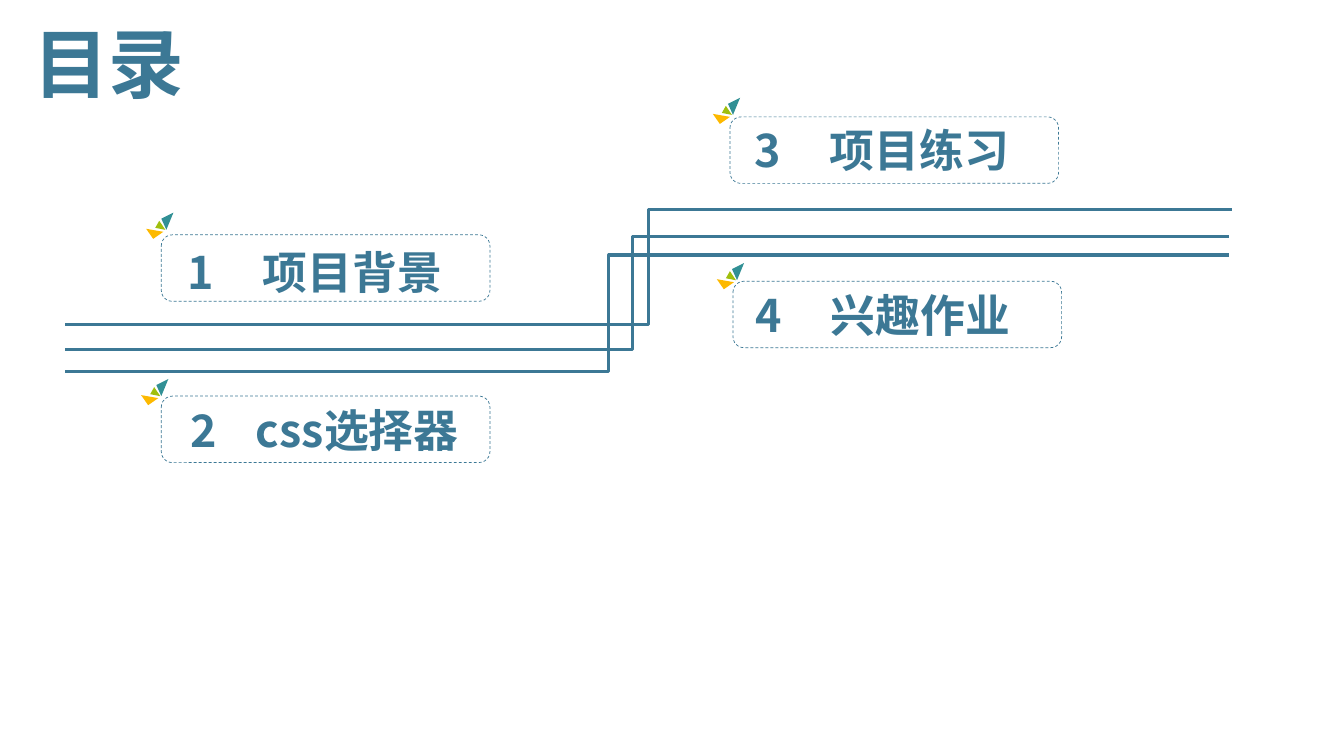
from pptx import Presentation
from pptx.util import Inches, Pt
from pptx.dml.color import RGBColor
from pptx.enum.dml import MSO_LINE
from pptx.enum.shapes import MSO_CONNECTOR, MSO_SHAPE
from pptx.enum.text import PP_ALIGN
from pptx.oxml.ns import qn
from lxml import etree

ELBOW = MSO_CONNECTOR.ELBOW
ROUND = MSO_SHAPE.ROUNDED_RECTANGLE
DASH = MSO_LINE.DASH
LEFT, MID = PP_ALIGN.LEFT, PP_ALIGN.CENTER

FONT = "Noto Sans CJK SC"
HUES = {"blue": "3C7895", "teal": "319095", "green": "A0BF0D", "gold": "FDB900"}
TITLE = "目录"
ITEMS = [
    {"text": "1\t项目背景", "box": (1.6, 2.33), "at": (1.76, 2.38), "tip": (1.72, 2.11), "tab": 0.75},
    {"text": "2\tcss选择器", "box": (1.6, 3.93), "at": (1.79, 3.95), "tip": (1.67, 3.76), "tab": 0.65},
    {"text": "3\t项目练习", "box": (7.24, 1.16), "at": (7.38, 1.17), "tip": (7.34, 0.97), "tab": 0.75},
    {"text": "4\t兴趣作业", "box": (7.27, 2.79), "at": (7.39, 2.81), "tip": (7.38, 2.61), "tab": 0.75},
]
TRACKS = [
    ((0.65, 3.22), (12.22, 2.08), 6.44),
    ((0.65, 3.69), (12.19, 2.53), 6.04),
    ((0.65, 3.47), (12.19, 2.35), 6.27),
]
SPARK = {
    "teal": [(0, 0), (-0.07, 0.17), (-0.12, 0.06)],
    "green": [(-0.18, 0.15), (-0.08, 0.17), (-0.14, 0.08)],
    "gold": [(-0.2, 0.26), (-0.1, 0.19), (-0.27, 0.16)],
}

deck = Presentation()
deck.slide_width, deck.slide_height = Inches(13.33), Inches(7.5)
slide = deck.slides.add_slide(deck.slide_layouts[6])
shapes = slide.shapes


def hue(name):
    return RGBColor.from_string(HUES[name])


def put(goal, form):
    for key, val in form.items():
        setattr(goal, key, val)


def write(text, spot, size, align=LEFT, wrap=True, tab=None):
    box = shapes.add_textbox(*map(Inches, spot))
    box.text_frame.word_wrap = wrap
    para = box.text_frame.paragraphs[0]
    para.alignment = align
    if tab:
        tabs = etree.SubElement(para._p.get_or_add_pPr(), qn("a:tabLst"))
        etree.SubElement(tabs, qn("a:tab"), pos=str(Inches(tab)), algn="l")
    run = para.add_run()
    run.text = text
    put(run.font, {"name": FONT, "size": Pt(size), "bold": True})
    run.font.color.rgb = hue("blue")
    etree.SubElement(run.font._element, qn("a:ea"), typeface=FONT)


def track(start, end, bend):
    wire = shapes.add_connector(ELBOW, *map(Inches, start + end))
    put(wire.line, {"width": Pt(2.25)})
    wire.line.color.rgb = hue("blue")
    ratio = (bend - start[0]) / (end[0] - start[0])
    prop = wire._element.spPr
    guides = prop.find(qn("a:prstGeom")).get_or_add_avLst()
    etree.SubElement(guides, qn("a:gd"), name="adj1", fmla=f"val {round(ratio * 100000)}")
    etree.SubElement(prop, qn("a:effectLst"))


def frame(spot):
    card = shapes.add_shape(ROUND, *map(Inches, spot + (3.26, 0.66)))
    card.shadow.inherit = False
    card.fill.background()
    put(card.line, {"width": Pt(0.5), "dash_style": DASH})
    card.line.color.rgb = hue("blue")


def spark(tip):
    for name, path in SPARK.items():
        dots = [(Inches(tip[0] + x), Inches(tip[1] + y)) for x, y in path]
        pen = shapes.build_freeform(*dots[0])
        pen.add_line_segments(dots[1:], close=True)
        chip = pen.convert_to_shape()
        chip.shadow.inherit = False
        chip.fill.solid()
        chip.fill.fore_color.rgb = hue(name)
        chip.line.fill.background()


for start, end, bend in TRACKS:
    track(start, end, bend)
for item in ITEMS:
    frame(item["box"])
    write(item["text"], item["at"] + (3.01, 0.64), 32, tab=item["tab"])
    spark(item["tip"])
write(TITLE, (0.22, 0.12, 1.72, 1.01), 54, align=MID, wrap=False)

deck.save("out.pptx")
